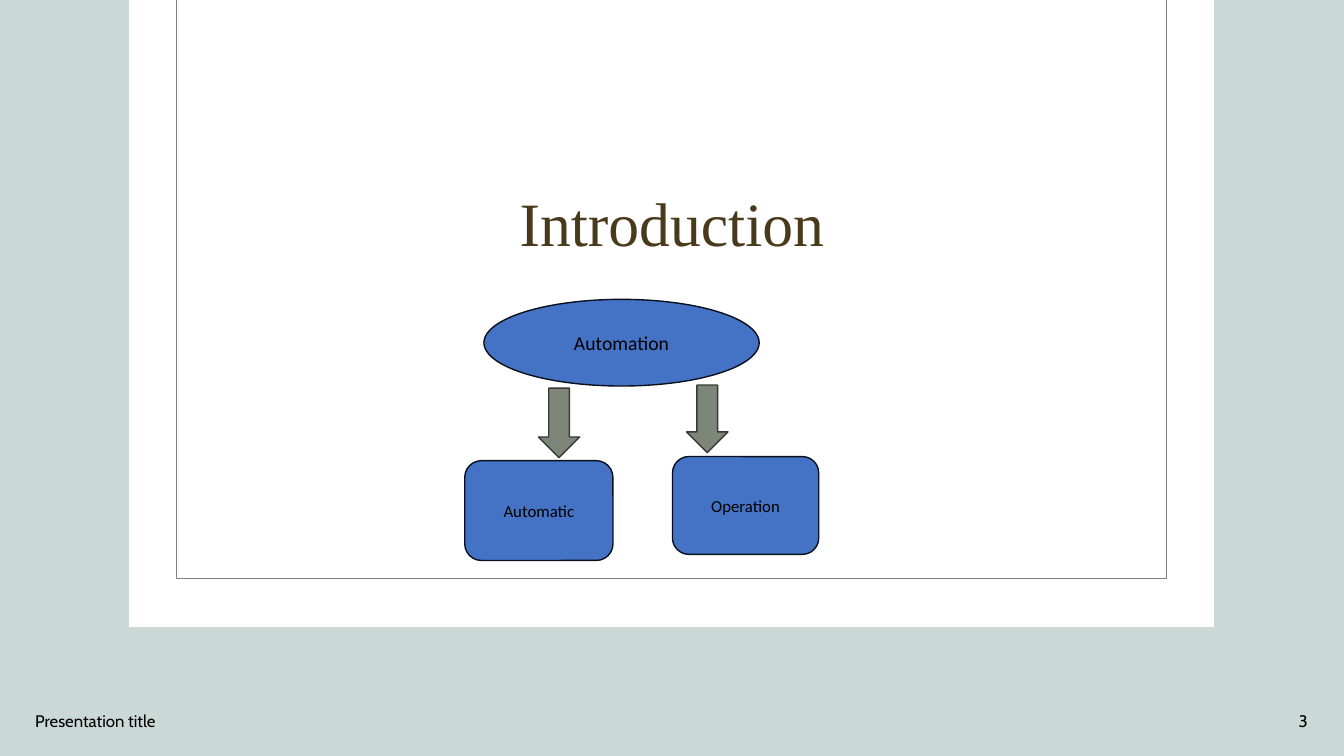
from dataclasses import dataclass

from pptx import Presentation
from pptx.dml.color import RGBColor
from pptx.enum.shapes import MSO_SHAPE
from pptx.enum.text import MSO_ANCHOR, PP_ALIGN
from pptx.util import Inches, Pt


@dataclass(frozen=True)
class Theme:
    background: str = "CAD8D6"
    panel: str = "FFFFFF"
    sage: str = "7E8679"
    arrow_line: str = "373B35"
    node: str = "4472C4"
    node_line: str = "09101D"
    title: str = "4A3A1C"
    text: str = "000000"
    title_font: str = "Times New Roman"
    node_font: str = "Calibri"
    footer_font: str = "Cabin"
    title_size: int = 44
    topic_size: int = 14
    small_size: int = 12


THEME = Theme()


def color(value):
    return RGBColor.from_string(value)


def write(shape, text, font_name, size, font_color, alignment):
    frame = shape.text_frame
    frame.word_wrap = True
    frame.vertical_anchor = MSO_ANCHOR.MIDDLE
    paragraph = frame.paragraphs[0]
    paragraph.text = text
    paragraph.alignment = alignment
    paragraph.font.name = font_name
    paragraph.font.size = Pt(size)
    paragraph.font.color.rgb = color(font_color)
    return paragraph


def add_box(slide, kind, bounds, fill=None, line=None):
    """Add a preset shape; a missing fill or line is left transparent."""
    shape = slide.shapes.add_shape(kind, *map(Inches, bounds))
    shape.shadow.inherit = False
    if fill:
        shape.fill.solid()
        shape.fill.fore_color.rgb = color(fill)
    else:
        shape.fill.background()
    if line:
        shape.line.color.rgb = color(line)
        shape.line.width = Pt(1)
    else:
        shape.line.fill.background()
    return shape


def add_node(slide, kind, bounds, text, size):
    node = add_box(slide, kind, bounds, THEME.node, THEME.node_line)
    write(node, text, THEME.node_font, size, THEME.text, PP_ALIGN.CENTER)


def add_arrow(slide, bounds):
    add_box(slide, MSO_SHAPE.DOWN_ARROW, bounds, THEME.sage, THEME.arrow_line)


def add_footer(slide, bounds, text, alignment):
    box = slide.shapes.add_textbox(*map(Inches, bounds))
    write(box, text, THEME.footer_font, THEME.small_size, THEME.text, alignment)


def place_title(slide, text):
    """Fill the title placeholder and bring it in front of the panel."""
    title = slide.shapes.title
    title.left, title.top = Inches(1.91), Inches(1.52)
    title.width, title.height = Inches(9.51), Inches(1.45)
    paragraph = write(title, text, THEME.title_font, THEME.title_size,
                      THEME.title, PP_ALIGN.CENTER)
    paragraph.line_spacing = 0.9
    slide.shapes.element.append(title.element)


def main():
    presentation = Presentation()
    presentation.slide_width = Inches(13.33)
    presentation.slide_height = Inches(7.5)
    slide = presentation.slides.add_slide(presentation.slide_layouts[5])
    slide.background.fill.solid()
    slide.background.fill.fore_color.rgb = color(THEME.background)

    add_box(slide, MSO_SHAPE.RECTANGLE, (1.28, 0, 10.76, 6.22), fill=THEME.panel)
    add_box(slide, MSO_SHAPE.RECTANGLE, (1.75, -0.01, 9.82, 5.75), line=THEME.sage)
    place_title(slide, "Introduction")
    add_footer(slide, (0.25, 6.95, 4.5, 0.4), "Presentation title", PP_ALIGN.LEFT)
    add_footer(slide, (10.07, 6.95, 3, 0.4), "3", PP_ALIGN.RIGHT)

    add_node(slide, MSO_SHAPE.OVAL, (4.8, 2.97, 2.73, 0.86),
             "Automation", THEME.topic_size)
    branches = (
        ("Automatic", (4.61, 4.57, 1.47, 0.99), (5.34, 3.85, 0.41, 0.69)),
        ("Operation", (6.67, 4.53, 1.45, 0.97), (6.81, 3.82, 0.41, 0.67)),
    )
    for text, node_bounds, arrow_bounds in branches:
        add_node(slide, MSO_SHAPE.FLOWCHART_ALTERNATE_PROCESS, node_bounds,
                 text, THEME.small_size)
        add_arrow(slide, arrow_bounds)

    presentation.save("out.pptx")


if __name__ == "__main__":
    main()
